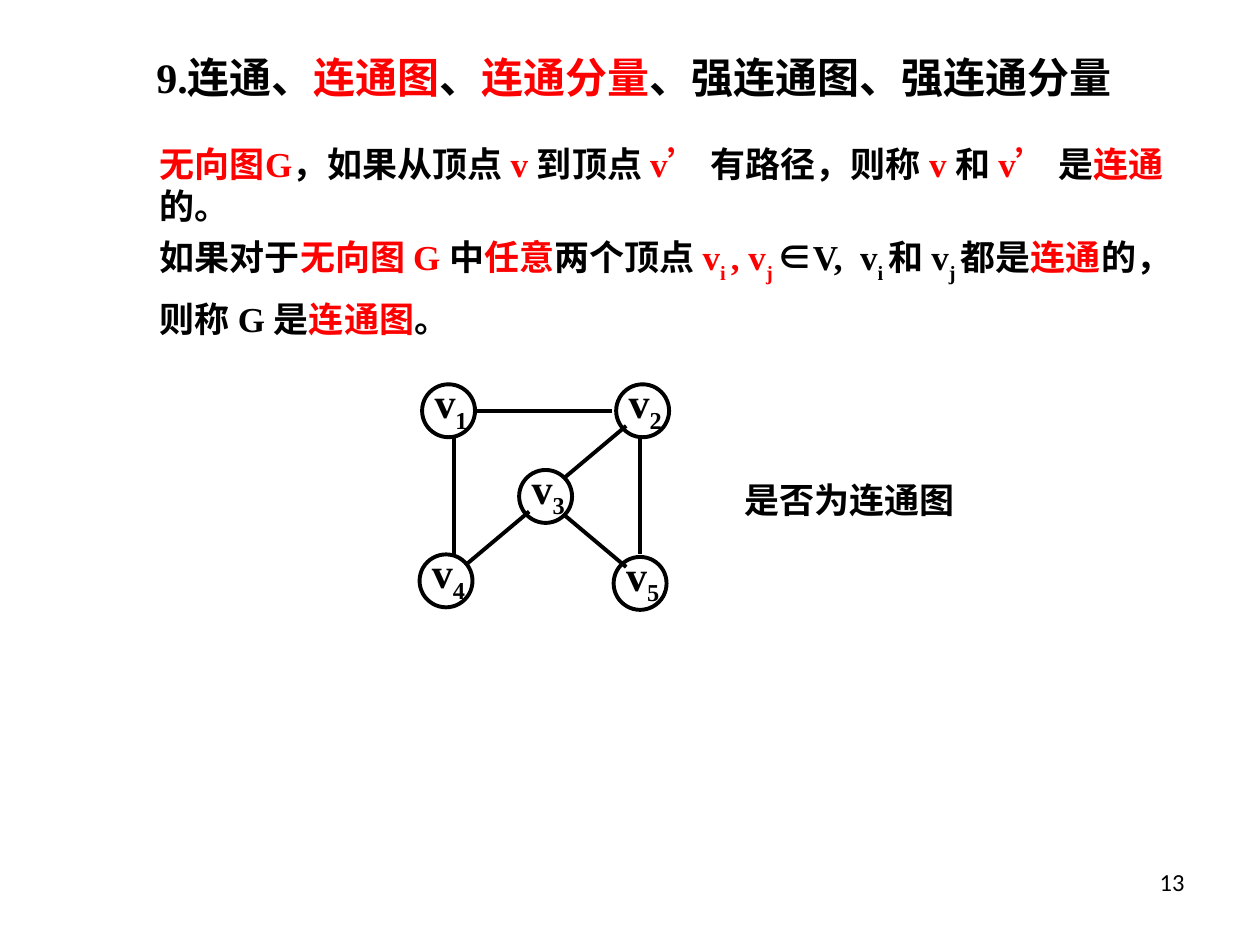
from dataclasses import dataclass

from lxml.etree import SubElement
from pptx import Presentation
from pptx.dml.color import RGBColor
from pptx.enum.shapes import MSO_CONNECTOR, MSO_SHAPE
from pptx.enum.text import MSO_ANCHOR, MSO_AUTO_SIZE, PP_ALIGN
from pptx.oxml.ns import qn
from pptx.util import Inches, Pt

# The slide is a grid of 100 columns by 75 rows of square cells
COLUMNS, ROWS = 100, 75
CELL = Inches(0.1)
BLACK, RED = "000000", "FF0000"
LATIN, HAN, NUMBER = "Times New Roman", "Noto Sans CJK SC", "Calibri"
STROKE = Pt(2.25)
NODE_SIZE = 4.2


@dataclass(frozen=True)
class Piece:
    text: str
    color: str = BLACK
    font: str = HAN
    baseline: int = 0


@dataclass(frozen=True)
class Area:
    column: float
    row: float
    width: float
    height: float


@dataclass(frozen=True)
class Vertex:
    index: int
    column: float
    row: float


@dataclass(frozen=True)
class Edge:
    start: tuple[float, float]
    end: tuple[float, float]


def cells(count: float) -> int:
    return round(count * CELL)


def rgb(color: str) -> RGBColor:
    return RGBColor.from_string(color)


def latin(text: str, color: str = BLACK, baseline: int = 0) -> Piece:
    return Piece(text, color, LATIN, baseline)


def subscript(text: str, color: str = BLACK, baseline: int = -30) -> Piece:
    return latin(text, color, baseline)


def write(shape, pieces: list[Piece], size: float, bold: bool = True,
          align: PP_ALIGN = PP_ALIGN.LEFT, spacing: float = 1.0) -> None:
    frame = shape.text_frame
    frame.word_wrap = True
    frame.auto_size = MSO_AUTO_SIZE.NONE
    frame.vertical_anchor = MSO_ANCHOR.TOP
    paragraph = frame.paragraphs[0]
    paragraph.alignment = align
    paragraph.line_spacing = spacing
    for piece in pieces:
        run = paragraph.add_run()
        run.text = piece.text
        run.font.size = Pt(size)
        run.font.bold = bold
        run.font.name = piece.font
        run.font.color.rgb = rgb(piece.color)
        properties = run.font._element
        SubElement(properties, qn("a:ea")).set("typeface", HAN)
        if piece.baseline:
            properties.set("baseline", str(piece.baseline * 1000))


def add_text(slide, area: Area, pieces: list[Piece], size: float, **style) -> None:
    box = slide.shapes.add_textbox(cells(area.column), cells(area.row),
                                   cells(area.width), cells(area.height))
    write(box, pieces, size, **style)


def add_edge(slide, edge: Edge) -> None:
    line = slide.shapes.add_connector(
        MSO_CONNECTOR.STRAIGHT, *map(cells, edge.start + edge.end))
    line.line.color.rgb = rgb(BLACK)
    line.line.width = STROKE
    SubElement(line._element.spPr, qn("a:effectLst"))


def add_vertex(slide, vertex: Vertex) -> None:
    circle = slide.shapes.add_shape(
        MSO_SHAPE.OVAL, cells(vertex.column), cells(vertex.row),
        cells(NODE_SIZE), cells(NODE_SIZE))
    circle.shadow.inherit = False
    circle.fill.background()
    circle.line.color.rgb = rgb(BLACK)
    circle.line.width = STROKE
    label_area = Area(vertex.column, vertex.row - 1.1, 7.5, 5.6)
    add_text(slide, label_area,
             [latin("v"), subscript(str(vertex.index), baseline=-25)], 24)


HEADING = [latin("9.连通、"), latin("连通图", RED), latin("、"),
           latin("连通分量", RED), latin("、强连通图、强连通分量")]

CONNECTED_VERTICES = [
    Piece("无向图", RED), latin("G", RED), Piece("，如果从顶点 "), latin("v ", RED),
    Piece("到顶点 "), latin("v’ ", RED), Piece("有路径，则称 "), latin("v ", RED),
    Piece("和 "), latin("v’ ", RED), Piece("是"), Piece("连通", RED), Piece("的。"),
]

CONNECTED_GRAPH = [
    Piece("如果对于"), Piece("无向图 ", RED), latin("G ", RED), Piece("中"),
    Piece("任意", RED), Piece("两个顶点 "),
    latin("v", RED), subscript("i ", RED), latin(", v", RED), subscript("j ", RED),
    Piece("∈"), latin("V,  v"), subscript("i "), Piece("和 "),
    latin("v"), subscript("j "), Piece("都是"), Piece("连通", RED),
    Piece("的，则称 "), latin("G "), Piece("是"), Piece("连通图", RED), Piece("。"),
]

VERTICES = [
    Vertex(1, 33.5, 30.5), Vertex(2, 48.9, 30.5), Vertex(3, 41.2, 37.3),
    Vertex(4, 33.3, 44.0), Vertex(5, 48.7, 44.2),
]

EDGES = [
    Edge((37.8, 32.6), (48.6, 32.6)),  # v1 to v2
    Edge((36.0, 34.8), (36.0, 44.0)),  # v1 to v4
    Edge((50.8, 34.8), (50.8, 44.0)),  # v2 to v5
    Edge((44.7, 40.8), (49.7, 45.0)),  # v3 to v5
    Edge((49.7, 33.8), (44.7, 38.0)),  # v2 to v3
    Edge((42.0, 40.6), (37.0, 44.8)),  # v3 to v4
]


def main() -> None:
    deck = Presentation()
    deck.slide_width, deck.slide_height = cells(COLUMNS), cells(ROWS)
    slide = deck.slides.add_slide(deck.slide_layouts[5])

    # Heading
    title = slide.shapes.title
    title.left, title.top = cells(11.4), cells(3.6)
    title.width, title.height = cells(80), cells(5)
    write(title, HEADING, 24)

    # Definitions
    add_text(slide, Area(11.7, 10.8, 84.2, 7.7), CONNECTED_VERTICES, 20)
    add_text(slide, Area(11.7, 17, 83.3, 10.5), CONNECTED_GRAPH, 20, spacing=1.3)

    # Example graph and its question
    for edge in EDGES:
        add_edge(slide, edge)
    for vertex in VERTICES:
        add_vertex(slide, vertex)
    add_text(slide, Area(58.1, 37.5, 25.8, 4.4), [latin("是否为连通图")], 20)

    # Page number
    add_text(slide, Area(71.7, 68.3, 23.3, 5.2), [Piece("13", font=NUMBER)], 14,
             bold=False, align=PP_ALIGN.RIGHT)

    deck.save("out.pptx")


if __name__ == "__main__":
    main()
